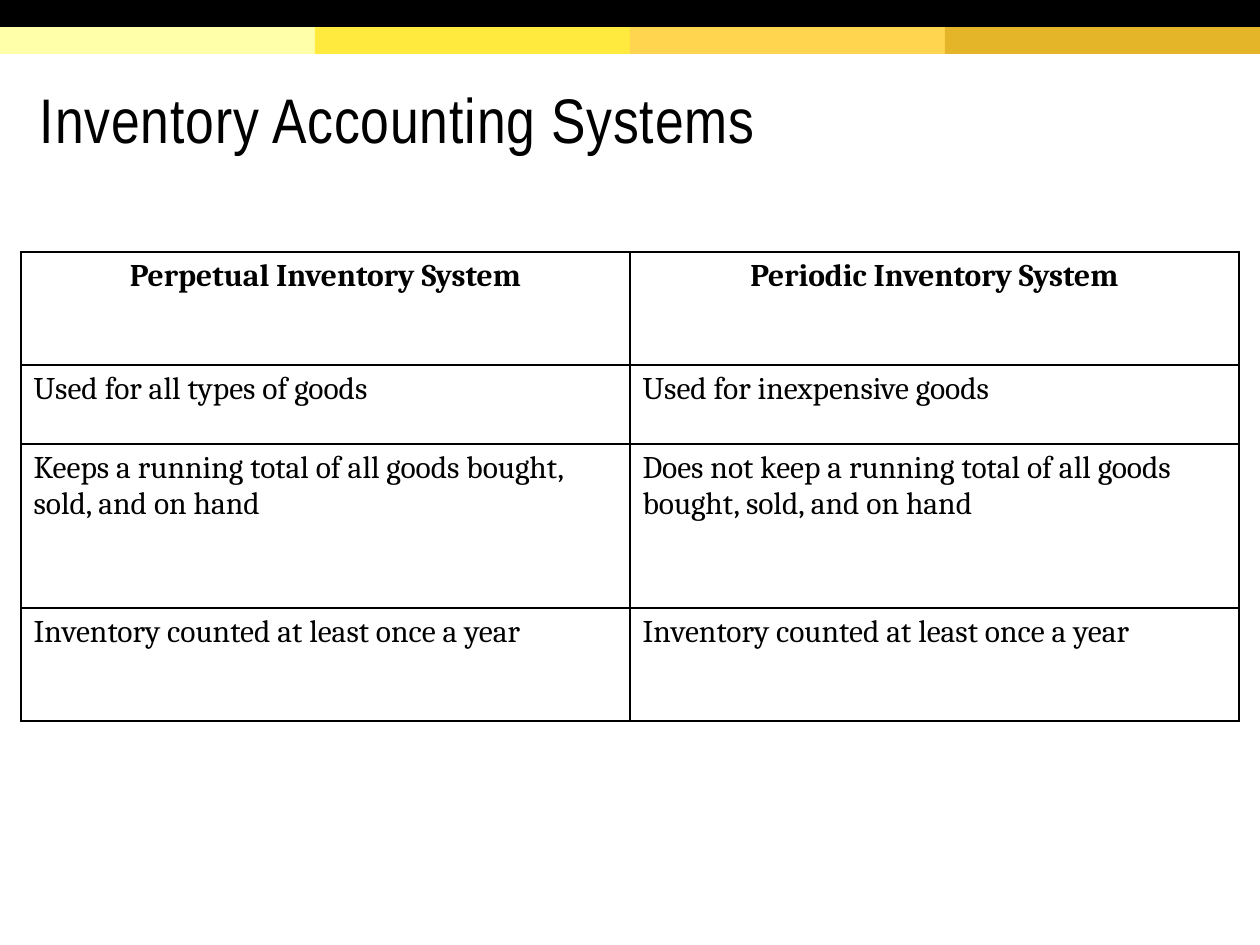
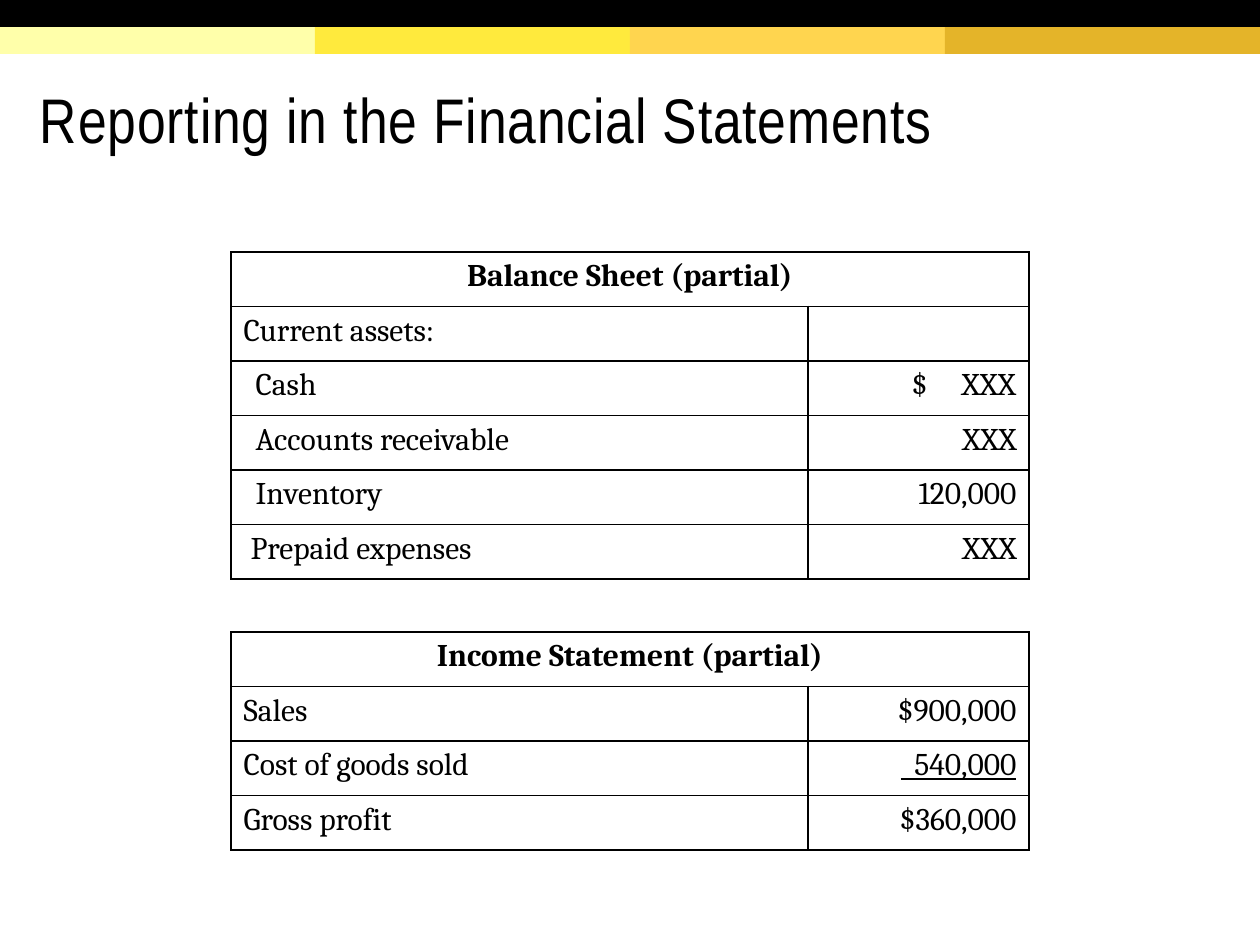
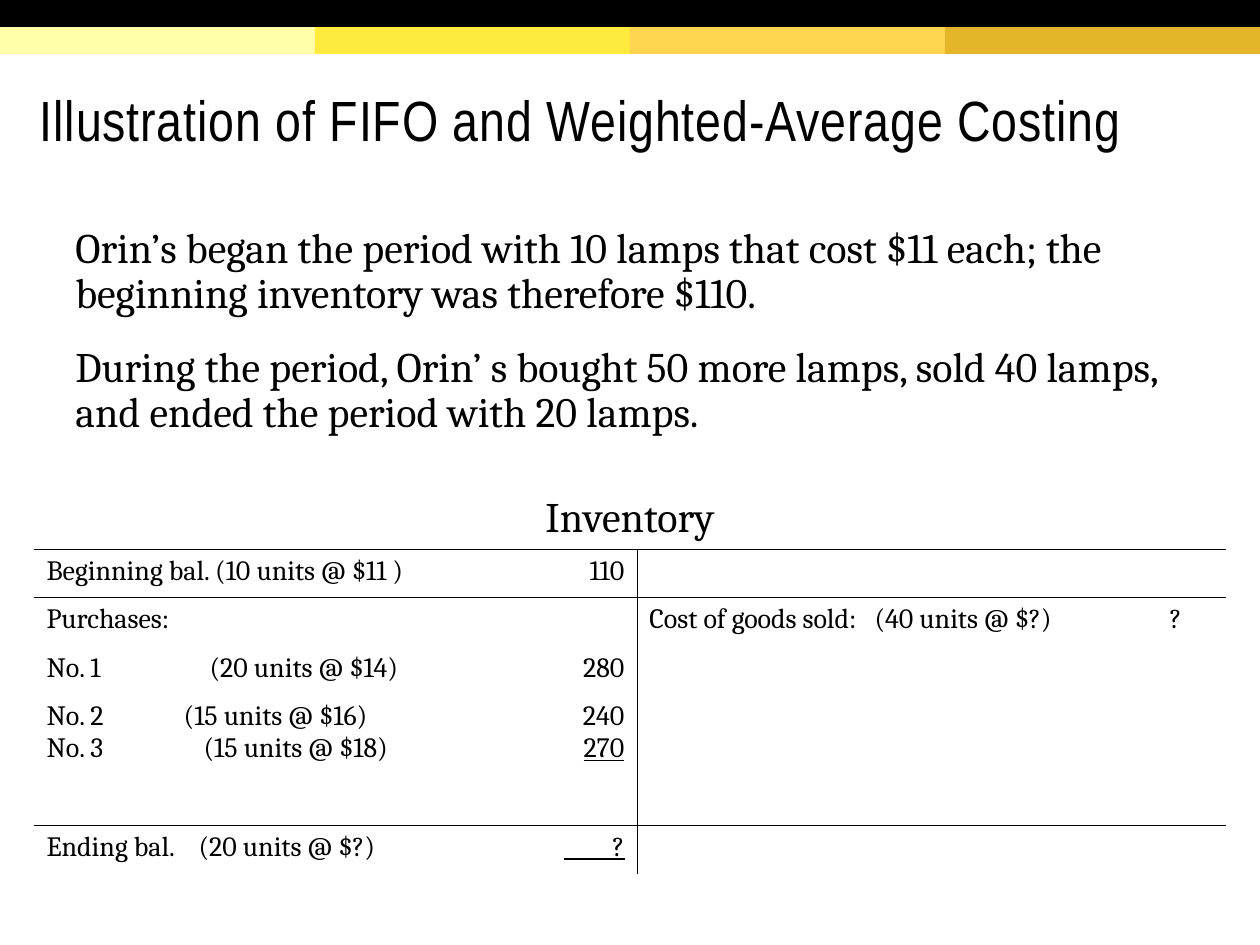
import lxml.etree
import pptx
import pptx.util
import pptx.dml.color
import pptx.enum.shapes
import pptx.enum.text
import pptx.oxml.ns

SCALE = 914400 / 126
HUES = {"ink": "000000", "pale": "FFFFAA", "lemon": "FFEA3D",
        "amber": "FFD54F", "gold": "E4B429"}
HEAD = "Arial Narrow"
BODY = "Cambria"
PLAIN = "{2D5ABB26-0587-4C30-8999-92F81FD0307C}"
ALIGN = pptx.enum.text.PP_ALIGN
ANCHOR = pptx.enum.text.MSO_ANCHOR
LEFT, MID, RIGHT = ALIGN.LEFT, ALIGN.CENTER, ALIGN.RIGHT


def px(n):
    return pptx.util.Emu(round(n * SCALE))


def hue(name):
    return pptx.dml.color.RGBColor.from_string(HUES[name])


def add(node, tag, **attrs):
    return lxml.etree.SubElement(node, pptx.oxml.ns.qn(tag), **attrs)


def style(para, size, face=BODY, bold=False):
    font = para.font
    font.size = pptx.util.Pt(size)
    font.name = face
    font.bold = bold
    font.color.rgb = hue("ink")


def bar(slide, box, name):
    shape = slide.shapes.add_shape(
        pptx.enum.shapes.MSO_SHAPE.RECTANGLE, *map(px, box))
    shape.shadow.inherit = False
    shape.fill.solid()
    shape.fill.fore_color.rgb = hue(name)
    shape.line.fill.background()


def bands(slide, box):
    left, top, width, height = box
    names = ["pale", "lemon", "amber", "gold"]
    step = width // len(names)
    for i, name in enumerate(names):
        bar(slide, (left + i * step, top + height, step, height), name)
    bar(slide, box, "ink")


def title(slide, box, text, size):
    shape = slide.shapes.title
    shape.left, shape.top, shape.width, shape.height = map(px, box)
    frame = shape.text_frame
    frame.word_wrap = True
    frame.auto_size = pptx.enum.text.MSO_AUTO_SIZE.NONE
    frame.vertical_anchor = ANCHOR.MIDDLE
    frame.margin_left = frame.margin_right = frame.margin_top = px(13)
    frame.margin_bottom = px(6)
    frame.text = text
    para = frame.paragraphs[0]
    para.alignment = LEFT
    para.line_spacing = 0.85
    style(para, size, HEAD)
    para.runs[0]._r.get_or_add_rPr().set("spc", "50")


def start(deck, text, size=36):
    slide = deck.slides.add_slide(deck.slide_layouts[5])
    bands(slide, (0, 0, 1260, 27))
    title(slide, (27, 59, 1196, 123), text, size)
    return slide


def prose(slide, box, texts):
    frame = slide.shapes.add_textbox(*map(px, box)).text_frame
    frame.word_wrap = True
    for i, text in enumerate(texts):
        para = frame.paragraphs[0] if i == 0 else frame.add_paragraph()
        para.text = text
        para.line_spacing = 0.9
        para.space_after = pptx.util.Pt(16)
        style(para, 24)


def rule(slide, left, right, y):
    line = slide.shapes.add_connector(
        pptx.enum.shapes.MSO_CONNECTOR.STRAIGHT,
        px(left), px(y), px(right), px(y))
    line.line.width = pptx.util.Pt(1)
    line.line.color.rgb = hue("ink")
    add(line._element.spPr, "a:effectLst")


def grid(slide, box, cols, rows):
    shape = slide.shapes.add_table(len(rows), len(cols), *map(px, box))
    shape._element.xpath(".//a:tableStyleId")[0].text = PLAIN
    table = shape.table
    table.first_row = table.horz_banding = False
    for col, width in zip(table.columns, cols):
        col.width = px(width)
    for row, height in zip(table.rows, rows):
        row.height = px(height)
    return table


def edge(cell, sides, width):
    props = cell._tc.get_or_add_tcPr()
    for side in "LRTB":
        line = add(props, "a:ln" + side, w=str(pptx.util.Pt(width)))
        if side in sides:
            add(add(line, "a:solidFill"), "a:srgbClr", val=HUES["ink"])
        else:
            add(line, "a:noFill")
    cell.fill.background()


def write(cell, lines, size=18, align=LEFT, bold=False, dent=0):
    """Text after a bar is underlined; each line is (text, *tabs)."""
    frame = cell.text_frame
    for i, (text, *tabs) in enumerate(lines):
        para = frame.paragraphs[0] if i == 0 else frame.add_paragraph()
        para.alignment = align
        props = para._p.get_or_add_pPr()
        if dent:
            props.set("marL", str(px(dent)))
            props.set("indent", "0")
        if tabs:
            stops = add(props, "a:tabLst")
            for place, kind in tabs:
                add(stops, "a:tab", pos=str(px(place)), algn=kind)
        style(para, size, bold=bold)
        for part, under in zip(text.split("|"), (False, True)):
            if part:
                run = para.add_run()
                run.text = part
                if under:
                    run.font.underline = True
        if not text:
            add(para._p, "a:endParaRPr", sz=str(size * 100))


def compare(slide, box, rows):
    width = box[2] // 2
    table = grid(slide, box, [width, width], [113, 79, 164, 113])
    for r, texts in enumerate(rows):
        for c, text in enumerate(texts):
            cell = table.cell(r, c)
            edge(cell, "LRTB", 1)
            write(cell, [(text,)], align=LEFT if r else MID, bold=r == 0)


def report(slide, box, head, rows):
    count = len(rows) + 1
    table = grid(slide, box, [577, box[2] - 577], [box[3] / count] * count)
    for cell in table.iter_cells():
        edge(cell, "LRTB", 1)
    table.cell(0, 0).merge(table.cell(0, 1))
    write(table.cell(0, 0), [(head,)], align=MID, bold=True)
    for r, (label, dent, *value) in enumerate(rows, 1):
        write(table.cell(r, 0), [(label,)], dent=dent)
        write(table.cell(r, 1), [value], align=LEFT if value[1:] else RIGHT)


def ledger(slide, box, head, items):
    heights = [66, 48, 49, 48, 83, 48, 49]
    table = grid(slide, box, [491, 112, 489, 100], heights)
    ruled = (1, 2, 6)
    for r in range(len(heights)):
        for c in range(4):
            sides = "T" if r in ruled else ""
            sides += "B" if r + 1 in ruled else ""
            if r:
                sides += {1: "R", 2: "L"}.get(c, "")
            cell = table.cell(r, c)
            edge(cell, sides, 0.25)
            if r:
                align = (LEFT, RIGHT, LEFT, MID)[c]
                write(cell, items.get((r, c), [("",)]), 16, align)
    top = table.cell(0, 0)
    top.merge(table.cell(0, 3))
    top.vertical_anchor = ANCHOR.BOTTOM
    write(top, [(head,)], 24, MID)
    rule(slide, box[0] + 530, box[0] + 591, box[1] + 376)


def systems(deck):
    slide = start(deck, "Inventory Accounting Systems")
    count = "Inventory counted at least once a year"
    compare(slide, (21, 252, 1218, 469), [
        ("Perpetual Inventory System", "Periodic Inventory System"),
        ("Used for all types of goods", "Used for inexpensive goods"),
        ("Keeps a running total of all goods bought, sold, and on hand",
         "Does not keep a running total of all goods bought, sold, "
         "and on hand"),
        (count, count)])


def statements(deck):
    slide = start(deck, "Reporting in the Financial Statements")
    report(slide, (231, 252, 798, 327), "Balance Sheet (partial)", [
        ("Current assets:", 0, ""),
        ("Cash", 12, "\t$\tXXX", (91, "l"), (195, "r")),
        ("Accounts receivable", 12, "XXX"),
        ("Inventory", 12, "120,000"),
        ("Prepaid expenses", 7, "XXX")])
    left, top = 231, 632
    report(slide, (left, top, 798, 218), "Income Statement (partial)", [
        ("Sales", 0, "$900,000"),
        ("Cost of goods sold", 0, "540,000"),
        ("Gross profit", 0, "$360,000")])
    rule(slide, left + 670, left + 785, top + 147)


def costing(deck):
    slide = start(
        deck, "Illustration of FIFO and Weighted-Average Costing", 32.4)
    prose(slide, (63, 221, 1134, 242), [
        "Orin’s began the period with 10 lamps that cost $11 each; "
        "the beginning inventory was therefore $110.",
        "During the period, Orin’ s bought 50 more lamps, sold 40 lamps, "
        "and ended the period with 20 lamps."])
    ledger(slide, (34, 483, 1192, 391), "Inventory", {
        (1, 0): [("Beginning bal. (10 units @ $11 )",)],
        (1, 1): [("110",)],
        (2, 0): [("Purchases:",)],
        (2, 2): [("Cost of goods sold:\t(40 units @ $?)", (225, "l"))],
        (2, 3): [("?",)],
        (3, 0): [("No. 1\t(20 units @ $14)", (163, "l"))],
        (3, 1): [("280",)],
        (4, 0): [("No. 2\t(15 units @ $16)", (137, "l")),
                 ("No. 3\t(15 units @ $18)", (157, "l"))],
        (4, 1): [("240",), ("|270",)],
        (6, 0): [("Ending bal.\t(20 units @ $?)", (152, "l"))],
        (6, 1): [("?",)]})


def main():
    deck = pptx.Presentation()
    deck.slide_width, deck.slide_height = px(1260), px(945)
    systems(deck)
    statements(deck)
    costing(deck)
    deck.save("out.pptx")


if __name__ == "__main__":
    main()
